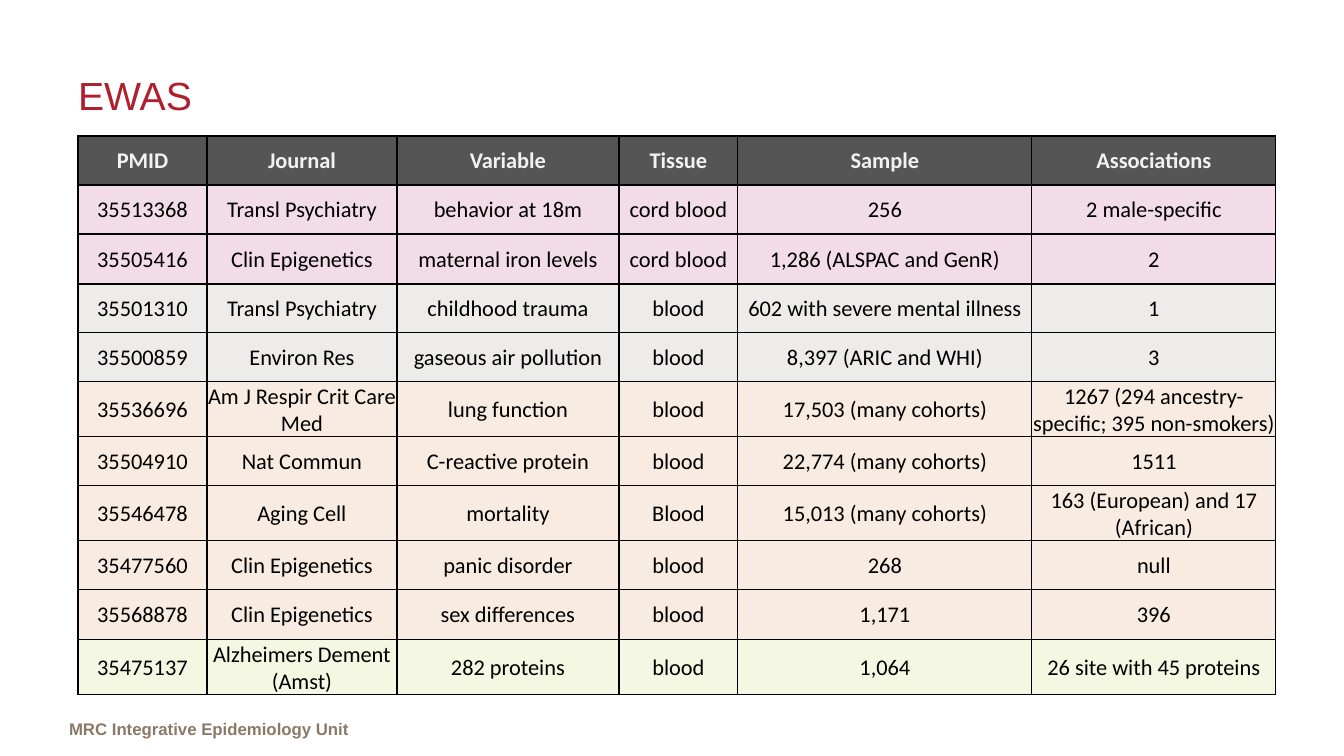
from lxml.etree import SubElement
from pptx import Presentation
from pptx.dml.color import RGBColor
from pptx.enum.text import MSO_ANCHOR as ANCHOR, MSO_AUTO_SIZE as AUTO, PP_ALIGN as ALIGN
from pptx.oxml import parse_xml
from pptx.oxml.ns import nsdecls, qn
from pptx.util import Pt

PX = 914400 / 100.8


def px(n):
    return round(n * PX)


def write(tf, text, align, font, color):
    p = tf.paragraphs[0]
    p.alignment = align
    r = p.add_run()
    r.text = text
    for name, value in font.items():
        setattr(r.font, name, value)
    r.font.color.rgb = RGBColor.from_string(color)


prs = Presentation()
prs.slide_width, prs.slide_height = px(1344), px(756)
slide = prs.slides.add_slide(prs.slide_layouts[5])

title = slide.shapes.title
title.left, title.top, title.width, title.height = px(68), px(50), px(1199), px(90)
tf = title.text_frame
tf.auto_size = AUTO.NONE
tf.vertical_anchor = ANCHOR.MIDDLE
write(tf, "EWAS", ALIGN.LEFT, {"name": "Arial", "size": Pt(28), "bold": False}, "B01F2E")

footer = slide.shapes.add_textbox(px(69), px(714), px(325), px(30))
tf = footer.text_frame
tf.word_wrap = True
tf.auto_size = AUTO.SHAPE_TO_FIT_TEXT
tf.margin_left = tf.margin_right = 0
write(tf, "MRC Integrative Epidemiology Unit", ALIGN.LEFT,
      {"name": "Arial", "size": Pt(12), "bold": True}, "8A7967")

HEADER, CORD, BLOOD, COHORT, PROTEIN = "0D0D0D", "EDCEDE", "E8E4E0", "F6E3D6", "F0F6D6"
rows = [
    (HEADER, 49, ["PMID", "Journal", "Variable", "Tissue", "Sample", "Associations"]),
    (CORD, 49, ["35513368", "Transl Psychiatry", "behavior at 18m", "cord blood", "256",
                "2 male-specific"]),
    (CORD, 50, ["35505416", "Clin Epigenetics", "maternal iron levels", "cord blood",
                "1,286 (ALSPAC and GenR)", "2"]),
    (BLOOD, 49, ["35501310", "Transl Psychiatry", "childhood trauma", "blood",
                 "602 with severe mental illness", "1"]),
    (BLOOD, 49, ["35500859", "Environ Res", "gaseous air pollution", "blood",
                 "8,397 (ARIC and WHI)", "3"]),
    (COHORT, 55, ["35536696", "Am J Respir Crit Care Med", "lung function", "blood",
                  "17,503 (many cohorts)", "1267 (294 ancestry-specific; 395 non-smokers)"]),
    (COHORT, 49, ["35504910", "Nat Commun", "C-reactive protein", "blood",
                  "22,774 (many cohorts)", "1511"]),
    (COHORT, 55, ["35546478", "Aging Cell", "mortality", "Blood", "15,013 (many cohorts)",
                  "163 (European) and 17 (African)"]),
    (COHORT, 49, ["35477560", "Clin Epigenetics", "panic disorder", "blood", "268", "null"]),
    (COHORT, 50, ["35568878", "Clin Epigenetics", "sex differences", "blood", "1,171", "396"]),
    (PROTEIN, 55, ["35475137", "Alzheimers Dement (Amst)", "282 proteins", "blood", "1,064",
                   "26 site with 45 proteins"]),
]
widths = [129, 190, 222, 119, 294, 244]
cell_format = {"margin_left": px(1), "margin_right": px(1), "margin_top": px(1),
               "margin_bottom": 0, "vertical_anchor": ANCHOR.MIDDLE}

table = slide.shapes.add_table(len(rows), len(widths), px(78), px(136), px(sum(widths)),
                               px(sum(height for _, height, _ in rows))).table
table.horz_banding = False
for column, width in zip(table.columns, widths):
    column.width = px(width)

for i, (fill, height, texts) in enumerate(rows):
    table.rows[i].height = px(height)
    header = fill == HEADER
    for j, text in enumerate(texts):
        cell = table.cell(i, j)
        for name, value in cell_format.items():
            setattr(cell, name, value)
        write(cell.text_frame, text, ALIGN.CENTER,
              {"name": "Calibri", "size": Pt(16), "bold": header},
              "F2F2F2" if header else "000000")
        cell.fill.solid()
        cell.fill.fore_color.rgb = RGBColor.from_string(fill)
        tcPr = cell._tc.get_or_add_tcPr()
        SubElement(tcPr.find(".//" + qn("a:srgbClr")), qn("a:alpha"), val="70000")
        for k, side in enumerate(["lnL", "lnR", "lnT", "lnB"]):
            tcPr.insert(k, parse_xml(
                f'<a:{side} {nsdecls("a")} w="12700"><a:solidFill>'
                f'<a:srgbClr val="000000"/></a:solidFill></a:{side}>'))

prs.save("out.pptx")
